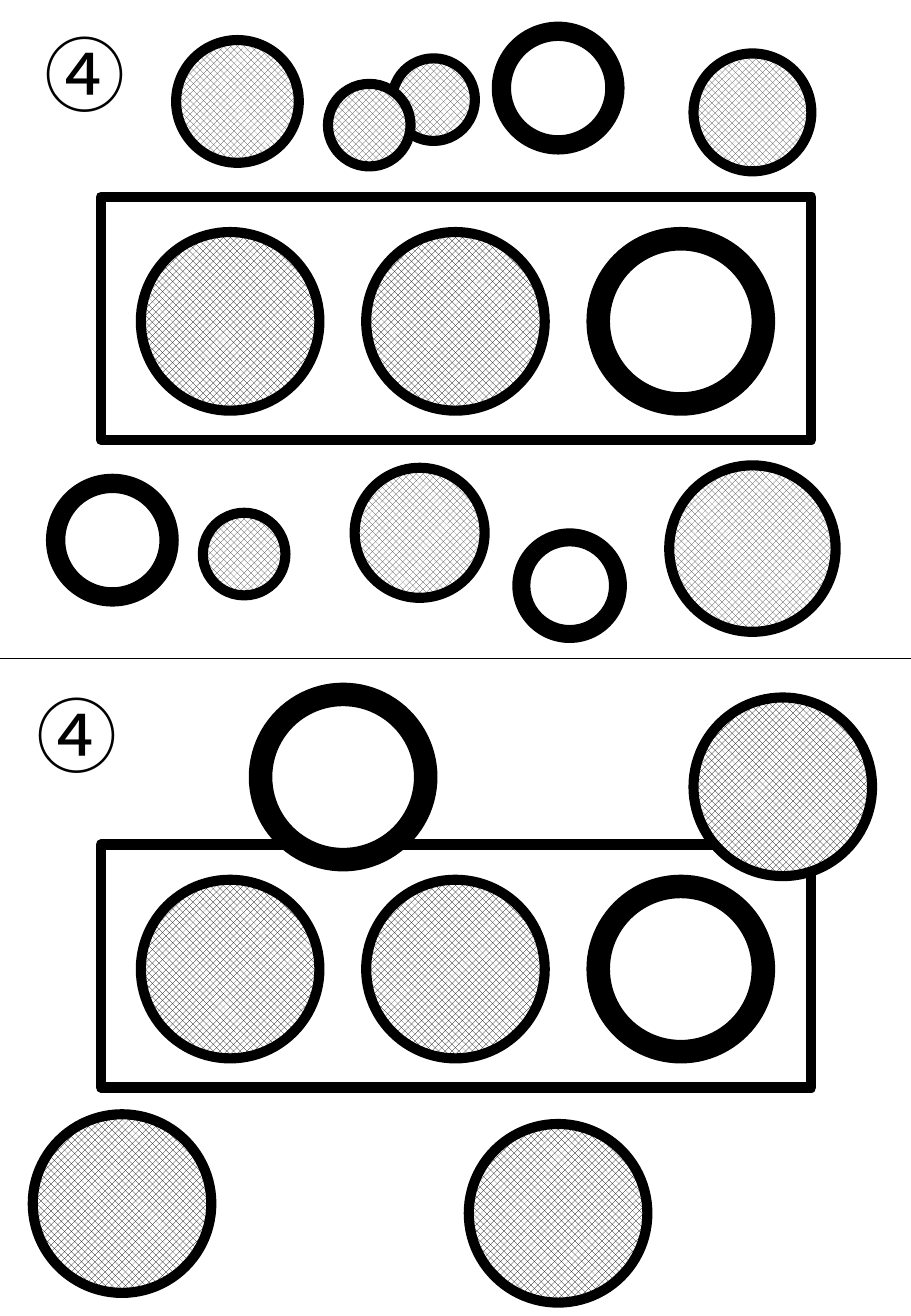
from dataclasses import dataclass

from lxml.etree import SubElement
from pptx import Presentation
from pptx.dml.color import RGBColor as Rgb
from pptx.enum.dml import MSO_PATTERN as Pattern
from pptx.enum.shapes import MSO_CONNECTOR as Connector, MSO_SHAPE as Preset
from pptx.oxml.ns import qn
from pptx.shapes.autoshape import Shape
from pptx.slide import Slide
from pptx.util import Inches, Length, Pt

# Page grid: one cell is a hundredth of an inch
COLUMNS, ROWS = 750, 1083
DIVIDER_ROW = 542


@dataclass(frozen=True)
class Theme:
    ink: Rgb = Rgb(0, 0, 0)
    soft_ink: Rgb = Rgb(0x40, 0x40, 0x40)
    paper: Rgb = Rgb(255, 255, 255)
    outline: Length = Pt(6)
    hairline: Length = Pt(0.75)
    number_size: Length = Pt(48)
    font: str = "Noto Sans CJK KR"


@dataclass(frozen=True)
class Circle:
    column: float
    row: float
    size: float
    is_ring: bool = False


@dataclass(frozen=True)
class Panel:
    frame_row: int
    number_box: tuple[int, int, int, int]
    hatch: Rgb
    loose_circles: tuple[Circle, ...]


THEME = Theme()
RING_HOLE = 0.85
FRAME_COLUMN, FRAME_WIDTH, FRAME_HEIGHT = 83, 585, 200
TRIO_COLUMN, TRIO_PITCH, TRIO_INSET, TRIO_SIZE = 116, 185.5, 29, 147

PANELS = (
    Panel(162, (27, 15, 89, 91), THEME.soft_ink, (
        Circle(145, 33, 101),
        Circle(323, 48, 68),
        Circle(409, 22, 101, is_ring=True),
        Circle(167, 422, 68),
        Circle(270, 69, 68),
        Circle(571, 44, 97),
        Circle(551, 383, 137),
        Circle(426, 439, 86, is_ring=True),
        Circle(42, 394, 101, is_ring=True),
        Circle(292, 385, 107),
    )),
    Panel(695, (20, 559, 146, 91), THEME.ink, (
        Circle(386, 925, TRIO_SIZE),
        Circle(571, 574, TRIO_SIZE),
        Circle(209, 566, TRIO_SIZE, is_ring=True),
        Circle(27, 917, TRIO_SIZE),
    )),
)


def cells(count: float) -> Length:
    return Inches(count / 100)


def add_outlined(slide: Slide, preset: Preset, column: float, row: float,
                 width: float, height: float) -> Shape:
    outlined = slide.shapes.add_shape(
        preset, cells(column), cells(row), cells(width), cells(height))
    outlined.shadow.inherit = False
    outlined.line.color.rgb = THEME.ink
    outlined.line.width = THEME.outline
    return outlined


def add_disc(slide: Slide, circle: Circle) -> Shape:
    return add_outlined(slide, Preset.OVAL, circle.column, circle.row,
                        circle.size, circle.size)


def add_circle(slide: Slide, circle: Circle, hatch: Rgb) -> None:
    fill = add_disc(slide, circle).fill
    if not circle.is_ring:
        fill.patterned()
        fill.pattern = Pattern.SOLID_DIAMOND
        fill.fore_color.rgb = hatch
        fill.back_color.rgb = THEME.paper
        return
    fill.solid()
    fill.fore_color.rgb = THEME.ink
    margin = circle.size * (1 - RING_HOLE) / 2
    hole = add_disc(slide, Circle(circle.column + margin, circle.row + margin,
                                  circle.size * RING_HOLE))
    hole.fill.solid()
    hole.fill.fore_color.rgb = THEME.paper


def add_number(slide: Slide, box: tuple[int, int, int, int]) -> None:
    number = slide.shapes.add_textbox(*map(cells, box)).text_frame
    number.word_wrap = True
    run = number.paragraphs[0].add_run()
    run.text = "④"
    run.font.size = THEME.number_size
    run.font.name = THEME.font
    run.font.color.rgb = THEME.ink
    SubElement(run.font._element, qn("a:ea")).set("typeface", THEME.font)


def add_divider(slide: Slide) -> None:
    divider = slide.shapes.add_connector(
        Connector.STRAIGHT, 0, cells(DIVIDER_ROW), cells(COLUMNS), cells(DIVIDER_ROW))
    divider.line.color.rgb = THEME.ink
    divider.line.width = THEME.hairline
    SubElement(divider._element.spPr, qn("a:effectLst"))


def add_panel(slide: Slide, panel: Panel) -> None:
    # Frame with its row of three circles
    frame = add_outlined(slide, Preset.ROUNDED_RECTANGLE, FRAME_COLUMN,
                         panel.frame_row, FRAME_WIDTH, FRAME_HEIGHT)
    frame.adjustments[0] = 0
    frame.fill.background()
    for place in range(3):
        add_circle(slide, Circle(TRIO_COLUMN + place * TRIO_PITCH,
                                 panel.frame_row + TRIO_INSET,
                                 TRIO_SIZE, is_ring=place == 2), THEME.ink)

    # Panel number and the circles scattered around the frame
    add_number(slide, panel.number_box)
    for circle in panel.loose_circles:
        add_circle(slide, circle, panel.hatch)


def main() -> None:
    deck = Presentation()
    deck.slide_width, deck.slide_height = cells(COLUMNS), cells(ROWS)
    slide = deck.slides.add_slide(deck.slide_layouts[6])
    add_divider(slide)
    for panel in PANELS:
        add_panel(slide, panel)
    deck.save("out.pptx")


if __name__ == "__main__":
    main()
